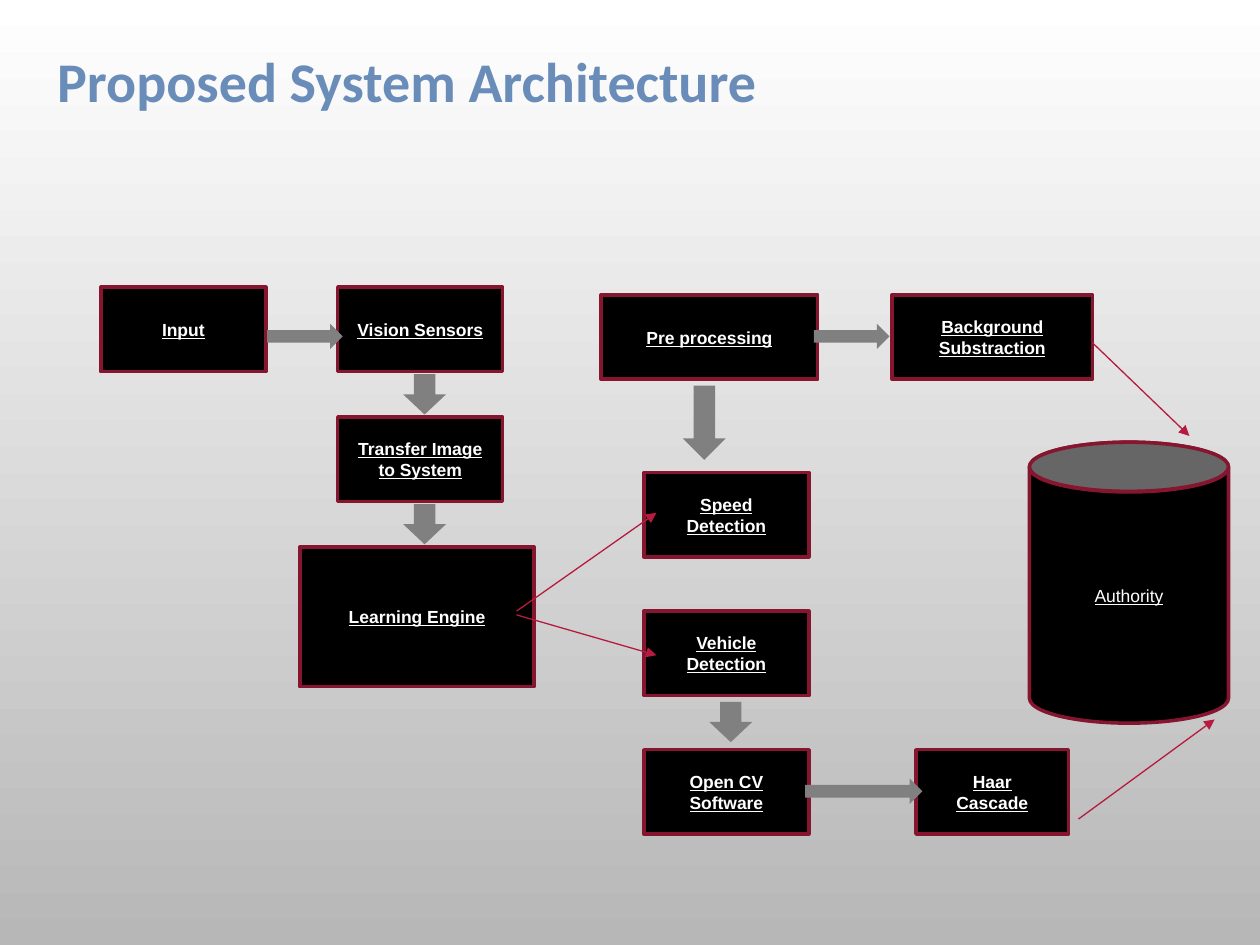
import pptx
import pptx.dml.color
import pptx.enum.shapes
import pptx.enum.text
import pptx.oxml.ns
import pptx.util
from lxml import etree

Inches = pptx.util.Inches
RGB = pptx.dml.color.RGBColor
KIND = pptx.enum.shapes.MSO_SHAPE
ANCHOR = pptx.enum.text.MSO_ANCHOR
ALIGN = pptx.enum.text.PP_ALIGN

WHITE = RGB(0xFF, 0xFF, 0xFF)
BLACK = RGB(0x00, 0x00, 0x00)
SILVER = RGB(0xB7, 0xB7, 0xB7)
GRAY = RGB(0x80, 0x80, 0x80)
DARK = RGB(0x66, 0x66, 0x66)
BLUE = RGB(0x69, 0x8C, 0xB8)
WINE = RGB(0x86, 0x16, 0x30)
RED = RGB(0xB7, 0x1A, 0x3F)

HEAD = {"name": "Calibri", "size": pptx.util.Pt(32), "bold": True}
LABEL = {"name": "Arial", "size": pptx.util.Pt(10), "bold": True, "underline": True}


def block(kind, area, fill, edge=None):
    """Add a flat preset shape with an optional outline."""
    shape = slide.shapes.add_shape(kind, *map(Inches, area))
    shape.shadow.inherit = False
    shape.fill.solid()
    shape.fill.fore_color.rgb = fill
    if edge is None:
        shape.line.fill.background()
    else:
        shape.line.color.rgb = edge
        shape.line.width = pptx.util.Pt(2)
    return shape


def write(shape, text, style, color, anchor, pad):
    """Fill a shape with centred text; pad is left/right and top/bottom."""
    frame = shape.text_frame
    frame.word_wrap = True
    frame.vertical_anchor = anchor
    frame.margin_left = frame.margin_right = Inches(pad[0])
    frame.margin_top = frame.margin_bottom = Inches(pad[1])
    frame.text = text
    for para in frame.paragraphs:
        para.alignment = ALIGN.CENTER
        font = para.runs[0].font
        font.color.rgb = color
        for key, value in style.items():
            setattr(font, key, value)


deck = pptx.Presentation()
deck.slide_width, deck.slide_height = Inches(10), Inches(7.5)
slide = deck.slides.add_slide(deck.slide_layouts[5])

back = slide.background.fill
back.gradient()
back.gradient_angle = 270
for stop, color, place in zip(back.gradient_stops, (WHITE, SILVER), (0, 1)):
    stop.color.rgb = color
    stop.position = place

title = slide.shapes.title
title.left, title.top, title.width, title.height = map(Inches, (-0.43, 0.33, 7.32, 1.18))
write(title, "Proposed System Architecture", HEAD, BLUE, ANCHOR.TOP, (0.05, 0.1))
title.text_frame.paragraphs[0].line_spacing = 0.9

# Process boxes
WIDE, TALL = 1.31, 0.67
boxes = [
    ("Input", 0.8, 2.28, WIDE, TALL),
    ("Vision Sensors", 2.68, 2.28, WIDE, TALL),
    ("Transfer Image to System", 2.68, 3.31, WIDE, TALL),
    ("Learning Engine", 2.38, 4.34, 1.86, 1.11),
    ("Pre processing", 4.77, 2.34, 1.72, TALL),
    ("Background Substraction", 7.08, 2.34, 1.59, TALL),
    ("Speed Detection", 5.11, 3.75, WIDE, TALL),
    ("Vehicle Detection", 5.11, 4.85, WIDE, TALL),
    ("Open CV Software", 5.11, 5.95, WIDE, TALL),
    ("Haar\nCascade", 7.27, 5.95, 1.21, TALL),
]
for text, *area in boxes:
    box = block(KIND.RECTANGLE, area, BLACK, WINE)
    write(box, text, LABEL, WHITE, ANCHOR.MIDDLE, (0.12, 0.05))

# Authority cylinder with a lighter lid
drum = block(KIND.CAN, (8.17, 3.51, 1.58, 2.23), BLACK, WINE)
drum.adjustments[0] = 0.25
write(drum, "Authority", LABEL | {"bold": False}, WHITE, ANCHOR.MIDDLE, (0.12, 0.05))
block(KIND.OVAL, (8.17, 3.51, 1.58, 0.39), DARK, WINE)

# Block arrows
for left, top, tall in [(3.2, 2.97, 0.32), (3.2, 4, 0.32), (5.63, 5.57, 0.32), (5.42, 3.06, 0.59)]:
    block(KIND.DOWN_ARROW, (left, top, 0.34, tall), GRAY)
for left, top, wide in [(2.12, 2.57, 0.6), (6.46, 2.57, 0.6), (6.39, 6.18, 0.93)]:
    block(KIND.RIGHT_ARROW, (left, top, wide, 0.2), GRAY)

# Thin arrows
links = [
    (4.1, 4.85, 5.21, 4.07),
    (4.1, 4.88, 5.21, 5.2),
    (8.67, 2.72, 9.44, 3.46),
    (8.56, 6.5, 9.64, 5.71),
]
for ends in links:
    link = slide.shapes.add_connector(pptx.enum.shapes.MSO_CONNECTOR.STRAIGHT, *map(Inches, ends))
    link.line.color.rgb = RED
    link.line.width = pptx.util.Pt(0.75)
    props = link._element.spPr
    stroke = props.find(pptx.oxml.ns.qn("a:ln"))
    etree.SubElement(stroke, pptx.oxml.ns.qn("a:tailEnd"), type="triangle")
    etree.SubElement(props, pptx.oxml.ns.qn("a:effectLst"))

deck.save("out.pptx")
